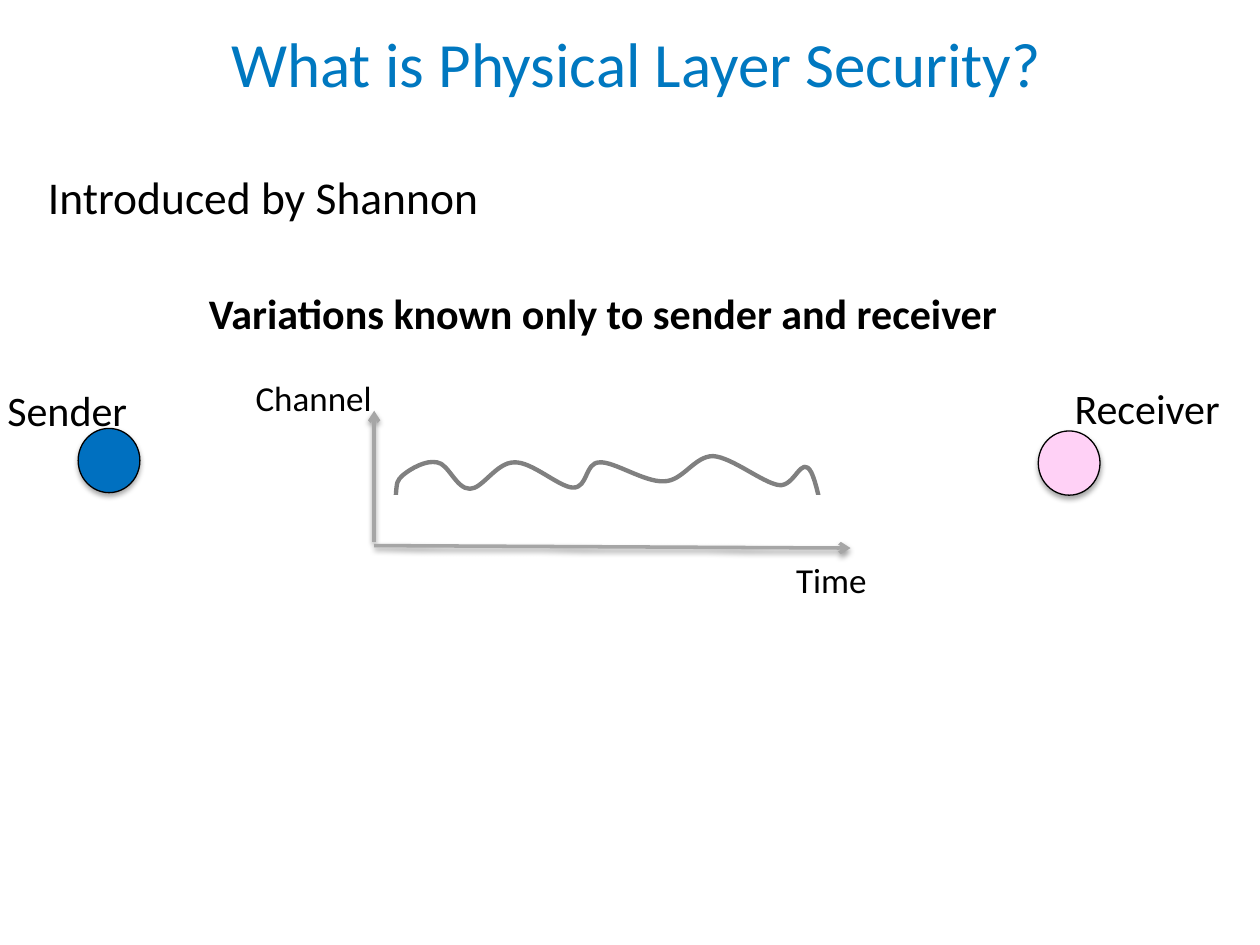
from typing import NamedTuple

from lxml.etree import SubElement
from pptx import Presentation
from pptx.dml.color import RGBColor
from pptx.enum.shapes import MSO_CONNECTOR, MSO_SHAPE
from pptx.enum.text import MSO_ANCHOR, MSO_AUTO_SIZE, PP_ALIGN
from pptx.oxml.ns import qn
from pptx.util import Inches, Pt

COLORS = {
    "title": "0078C0", "text": "000000", "sender": "0070C0",
    "receiver": "FFD1F6", "axis": "A6A6A6", "curve": "808080",
    "background": "FFFFFF",
}
FONT = "Calibri"


class Label(NamedTuple):
    text: str
    left: float
    top: float
    width: float
    height: float
    size: int
    bold: bool = False


class Node(NamedTuple):
    left: float
    top: float
    color: str


class Axis(NamedTuple):
    start: tuple[float, float]
    end: tuple[float, float]


LABELS = [
    Label("Sender", -0.04, 3, 1.3, 0.5, 24),
    Label("Receiver", 8.43, 2.99, 1.73, 0.5, 24),
    Label("Channel", 1.93, 2.94, 2.08, 0.43, 20),
    Label("Time", 6.22, 4.38, 1.43, 0.43, 20),
    Label("Variations known only to sender and receiver", 1.56, 2.23, 6.67, 0.5, 24, True),
]
NODES = [Node(0.62, 3.4, "sender"), Node(8.24, 3.42, "receiver")]
AXES = [Axis((2.97, 4.3), (2.97, 3.26)), Axis((2.97, 4.33), (6.75, 4.35))]

# Channel curve: a start point, then two control points and an end per segment
CURVE_START = (3.13, 4.72)
CURVE_SEGMENTS = [
    ((3.13, 4.42), (3.13, 4.13), (3.14, 3.97)),
    ((3.15, 3.81), (3.15, 3.82), (3.2, 3.77)),
    ((3.26, 3.72), (3.38, 3.65), (3.47, 3.67)),
    ((3.56, 3.68), (3.62, 3.88), (3.73, 3.88)),
    ((3.83, 3.88), (3.94, 3.67), (4.08, 3.67)),
    ((4.22, 3.66), (4.44, 3.87), (4.55, 3.87)),
    ((4.67, 3.87), (4.64, 3.67), (4.76, 3.67)),
    ((4.87, 3.66), (5.12, 3.83), (5.27, 3.82)),
    ((5.42, 3.82), (5.51, 3.62), (5.66, 3.62)),
    ((5.81, 3.63), (6.05, 3.83), (6.18, 3.85)),
    ((6.31, 3.87), (6.36, 3.6), (6.44, 3.75)),
    ((6.51, 3.9), (6.57, 4.33), (6.63, 4.76)),
]


def color(name: str) -> RGBColor:
    return RGBColor.from_string(COLORS[name])


def place(shape, left: float, top: float, width: float, height: float) -> None:
    shape.left, shape.top = Inches(left), Inches(top)
    shape.width, shape.height = Inches(width), Inches(height)


def write(shape, text: str, *, size: int, color_name: str = "text", bold: bool = False,
          bullet_free: bool = False, align=PP_ALIGN.LEFT, anchor=MSO_ANCHOR.TOP,
          auto_size=MSO_AUTO_SIZE.NONE) -> None:
    frame = shape.text_frame
    frame.word_wrap = True
    frame.auto_size = auto_size
    frame.vertical_anchor = anchor
    frame.text = text
    paragraph = frame.paragraphs[0]
    paragraph.alignment = align
    paragraph.space_before = Pt(0)
    if bullet_free:
        remove_bullet(paragraph)
    font = paragraph.runs[0].font
    font.name, font.size, font.bold = FONT, Pt(size), bold
    font.color.rgb = color(color_name)


def remove_bullet(paragraph) -> None:
    properties = paragraph._p.get_or_add_pPr()
    properties.set("marL", "0")
    properties.set("indent", "0")
    SubElement(properties, qn("a:buNone"))


def add_shadow(shape, distance: float, opacity: int) -> None:
    effects = SubElement(shape._element.spPr, qn("a:effectLst"))
    shadow = SubElement(effects, qn("a:outerShdw"), blurRad=str(Pt(3.1)),
                        dist=str(Pt(distance)), dir="5400000", rotWithShape="0")
    shade = SubElement(shadow, qn("a:srgbClr"), val=COLORS["text"])
    SubElement(shade, qn("a:alpha"), val=str(opacity * 1000))


def set_line(shape, color_name: str, width: float) -> None:
    shape.line.color.rgb = color(color_name)
    shape.line.width = Pt(width)


def add_label(slide, label: Label) -> None:
    box = slide.shapes.add_textbox(0, 0, 0, 0)
    place(box, label.left, label.top, label.width, label.height)
    write(box, label.text, size=label.size, bold=label.bold,
          auto_size=MSO_AUTO_SIZE.SHAPE_TO_FIT_TEXT)


def add_node(slide, node: Node) -> None:
    circle = slide.shapes.add_shape(MSO_SHAPE.OVAL, Inches(node.left), Inches(node.top),
                                    Inches(0.49), Inches(0.51))
    circle.fill.solid()
    circle.fill.fore_color.rgb = color(node.color)
    set_line(circle, "text", 0.75)
    add_shadow(circle, 1.8, 35)


def add_axis(slide, axis: Axis) -> None:
    points = [Inches(value) for value in (*axis.start, *axis.end)]
    arrow = slide.shapes.add_connector(MSO_CONNECTOR.STRAIGHT, *points)
    set_line(arrow, "axis", 2)
    SubElement(arrow.line._get_or_add_ln(), qn("a:tailEnd"), type="arrow")
    add_shadow(arrow, 1.6, 38)


def add_curve(slide) -> None:
    builder = slide.shapes.build_freeform(*(Inches(value) for value in CURVE_START))
    builder.add_line_segments([(Inches(x), Inches(y)) for *_, (x, y) in CURVE_SEGMENTS],
                              close=False)
    curve = builder.convert_to_shape()
    # Bend each straight segment into a cubic one
    straight_segments = list(curve._element.iter(qn("a:lnTo")))
    for straight, points in zip(straight_segments, CURVE_SEGMENTS):
        outline = straight.getparent()
        bend = SubElement(outline, qn("a:cubicBezTo"))
        for x, y in points:
            SubElement(bend, qn("a:pt"), x=str(Inches(x) - curve.left),
                       y=str(Inches(y) - curve.top))
        outline.replace(straight, bend)
    curve.fill.background()
    curve.shadow.inherit = False
    set_line(curve, "curve", 2.5)


def add_curve_base(slide) -> None:
    base = slide.shapes.add_shape(MSO_SHAPE.RECTANGLE, Inches(3.11), Inches(3.94),
                                  Inches(3.64), Inches(0.84))
    base.fill.solid()
    base.fill.fore_color.rgb = color("background")
    base.shadow.inherit = False
    set_line(base, "background", 1.5)


def main() -> None:
    presentation = Presentation()
    presentation.slide_width, presentation.slide_height = Inches(10), Inches(7.5)
    slide = presentation.slides.add_slide(presentation.slide_layouts[1])

    # Title and introduction
    title, body = slide.placeholders
    place(title, 0.13, 0.1, 9.84, 0.79)
    write(title, "What is Physical Layer Security?", size=36, color_name="title",
          align=PP_ALIGN.CENTER, anchor=MSO_ANCHOR.MIDDLE)
    place(body, 0.28, 1.29, 9.72, 0.54)
    write(body, "Introduced by Shannon", size=26, bullet_free=True)

    # Channel plot, with the curve cut off level by its base
    add_curve(slide)
    add_curve_base(slide)
    for axis in AXES:
        add_axis(slide, axis)

    # Labels, then the two parties
    for label in LABELS:
        add_label(slide, label)
    for node in NODES:
        add_node(slide, node)

    presentation.save("out.pptx")


if __name__ == "__main__":
    main()
